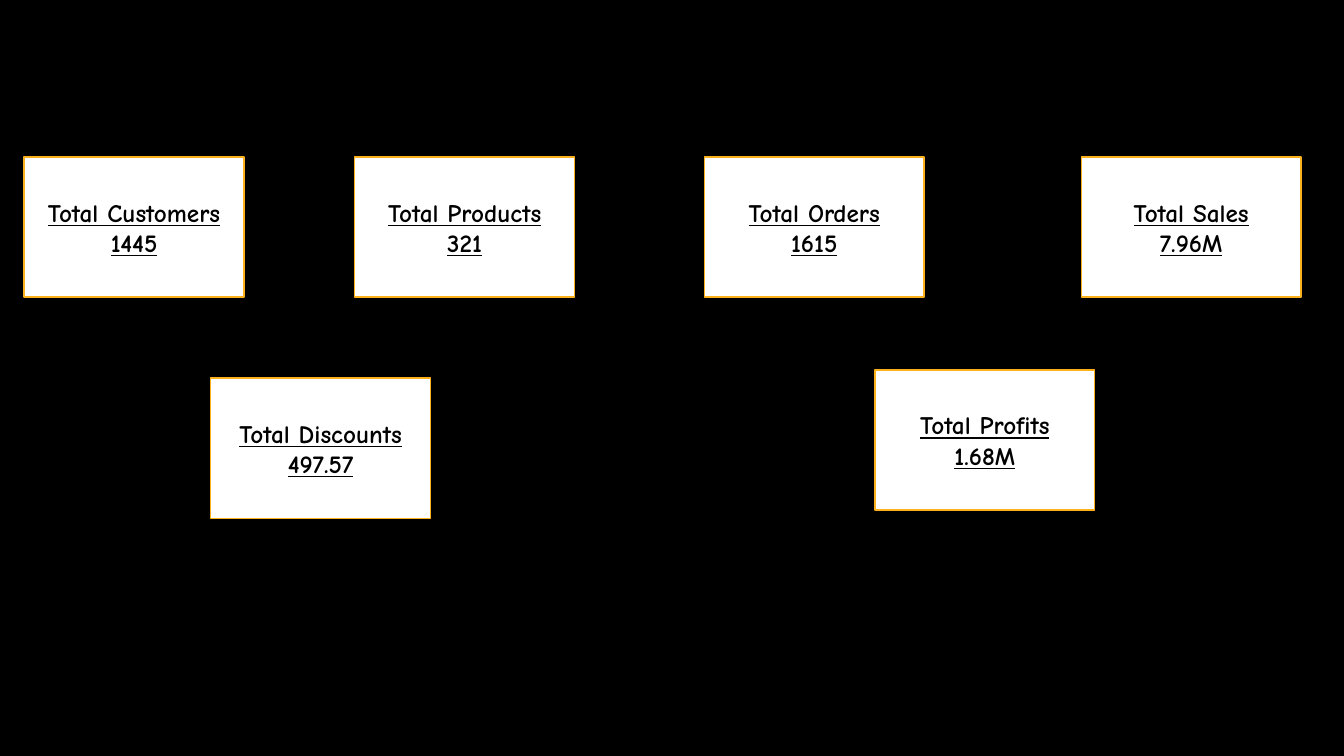
from pptx import Presentation
from pptx.dml.color import RGBColor
from pptx.enum.shapes import MSO_SHAPE as Shape
from pptx.enum.text import MSO_ANCHOR as Anchor, PP_ALIGN as Align
from pptx.util import Cm, Pt

BLACK, WHITE, AMBER = "000000", "FFFFFF", "FCB11C"
CARD_WIDTH, CARD_HEIGHT = 5.54, 3.53
TOP_ROW = 3.96
FONT_FORMAT = {"name": "Comic Neue", "size": Pt(18), "bold": True, "underline": True}

# label, value, left, top (cm)
CARDS = [
    ("Total Customers", "1445", 0.61, TOP_ROW),
    ("Total Products", "321", 8.94, TOP_ROW),
    ("Total Orders", "1615", 17.75, TOP_ROW),
    ("Total Sales", "7.96M", 27.25, TOP_ROW),
    ("Total Discounts", "497.57", 5.31, 9.53),
    ("Total Profits", "1.68M", 22.05, 9.32),
]


def color(hex_code):
    return RGBColor.from_string(hex_code)


def paint(fill, hex_code):
    fill.solid()
    fill.fore_color.rgb = color(hex_code)


def add_card(page, box, lines):
    """Place a bordered card in box (left, top, width, height in cm)."""
    card = page.shapes.add_shape(Shape.RECTANGLE, *map(Cm, box))
    card.shadow.inherit = False
    paint(card.fill, WHITE)
    paint(card.line.fill, AMBER)
    card.line.width = Pt(1)
    frame = card.text_frame
    frame.word_wrap = True
    frame.vertical_anchor = Anchor.MIDDLE
    for index, line in enumerate(lines):
        para = frame.add_paragraph() if index else frame.paragraphs[0]
        para.alignment = Align.CENTER
        span = para.add_run()
        span.text = line
        for key, value in FONT_FORMAT.items():
            setattr(span.font, key, value)
        span.font.color.rgb = color(BLACK)


def add_summary_page(deck):
    page = deck.slides.add_slide(deck.slide_layouts[6])
    paint(page.background.fill, BLACK)
    for label, value, left, top in CARDS:
        add_card(page, (left, top, CARD_WIDTH, CARD_HEIGHT), (label, value))


def main():
    deck = Presentation()
    deck.slide_width, deck.slide_height = Cm(33.87), Cm(19.05)
    add_summary_page(deck)
    deck.save("out.pptx")


if __name__ == "__main__":
    main()
